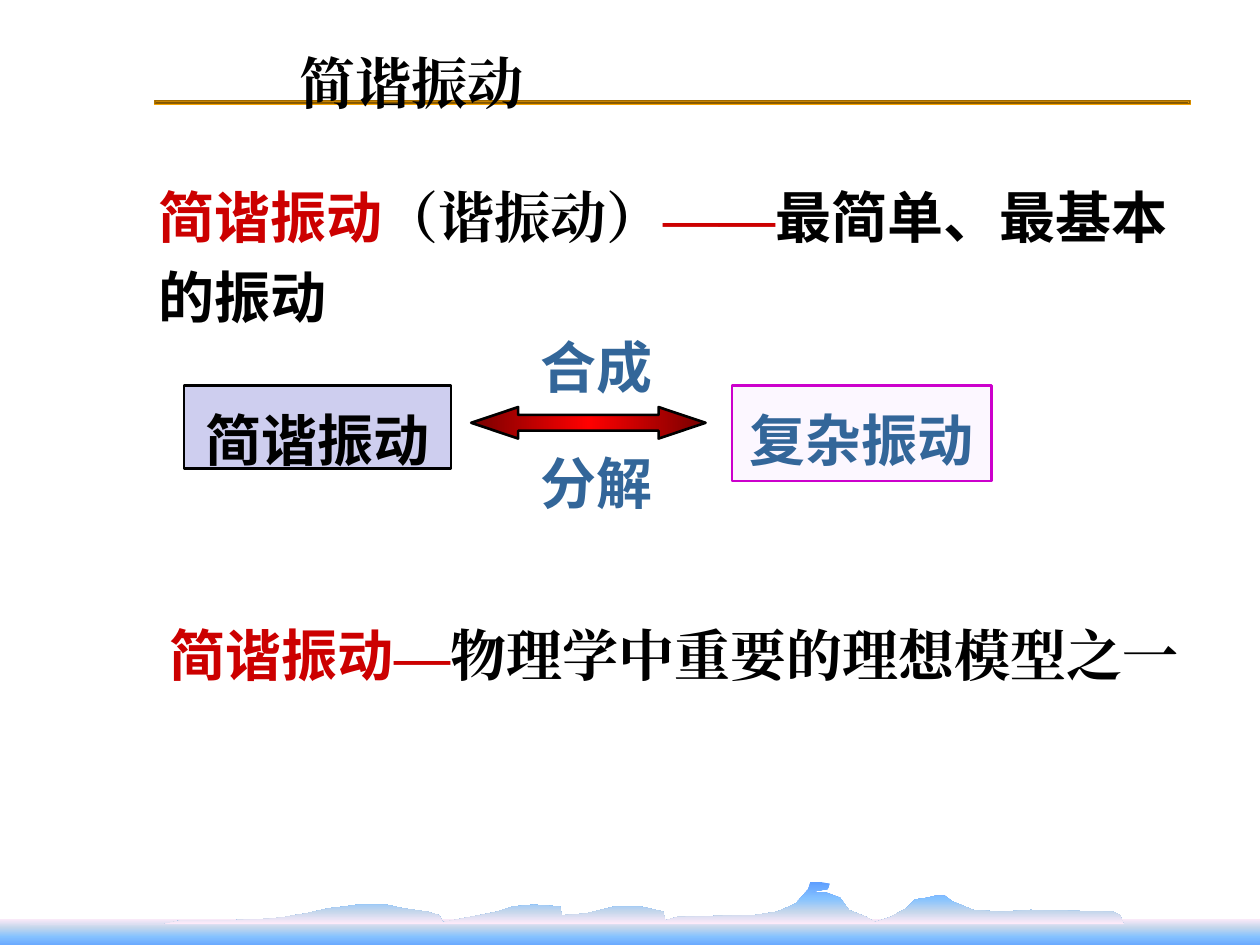
"""Build the slide on simple harmonic vibration."""
import pptx
import pptx.dml.color
import pptx.enum.shapes
import pptx.enum.text
import pptx.oxml
import pptx.oxml.ns
import pptx.util

Pt = pptx.util.Pt
SHAPE = pptx.enum.shapes.MSO_SHAPE
ALIGN = pptx.enum.text.PP_ALIGN

COLORS = {
    "black": "000000", "red": "CC0000", "blue": "336699",
    "lilac": "CECEEF", "blush": "FCF7FF", "magenta": "CC00CC",
    "bronze": "825600", "gold": "FFA800",
    "sky": "5E9EFF", "light": "85C2FF", "haze": "C4D6EB", "pink": "FFEBFA",
    "maroon": "760000", "bright": "FF0000",
}
SANS, SERIF = "Noto Sans CJK SC", "Times New Roman"

LINEAR = '<a:lin ang="{}" scaled="0"/>'
CENTERED = '<a:path path="rect"><a:fillToRect l="50000" t="50000" r="50000" b="50000"/></a:path>'
DOWN, ACROSS = LINEAR.format(5400000), LINEAR.format(0)

RULE_STOPS = [(0, "bronze"), (13, "gold"), (28, "bronze"), (43, "gold"),
              (58, "bronze"), (72, "gold"), (87, "bronze"), (100, "gold")]
RULE_STOPS[-1] = (100, "gold")
WATER_STOPS = [(0, "pink"), (30, "haze"), (60, "light"), (100, "sky")]
HILL_STOPS = [(100 - place, name) for place, name in reversed(WATER_STOPS)]
ARROW_STOPS = [(0, "maroon"), (50, "bright"), (100, "maroon")]

HILLS = [
    (16.6, 528.5), (93.6, 528.5), (103, 525.6), (128.2, 525.6), (154, 524.9),
    (162.7, 524.2), (168.5, 523.4), (175, 522), (178.6, 521.3), (187.9, 519.1),
    (197.3, 517.7), (203.8, 517), (221, 517), (230.4, 519.1), (244, 520.6),
    (250.6, 522.7), (252.7, 527), (274.3, 522.7), (283.7, 520.6), (293, 518.4),
    (305, 516.6), (319.7, 517.7), (321.1, 523.4), (334.8, 522), (350.6, 518.4),
    (365.8, 518.4), (379.4, 520.6), (380.2, 525.6), (386.6, 524.2), (424.1, 523.4),
    (431.3, 523.4), (444.2, 520.6), (450.7, 518.4), (455, 516.2), (462.2, 507.6),
    (463, 504), (468.7, 503.5), (473.8, 504.7), (473, 508.3), (461.5, 510.5),
    (472.3, 510.5), (480.2, 512.6), (484.6, 519.8), (495.4, 524.2), (500.4, 527),
    (509, 524.2), (517.7, 519.1), (523.4, 514.1), (529.9, 512.6), (533.5, 511.9),
    (540, 511.9), (544.3, 514.8), (555.8, 519.8), (571.7, 521.3), (589, 520.2),
    (635.8, 521.3), (640, 523.4), (641.5, 528.5),
]

TEXTS = [
    ((96.5, 16.6, 278, 49), ALIGN.CENTER, [("简谐振动", SERIF, "black")]),
    ((83.5, 92.9, 617.8, 94.3), ALIGN.LEFT, [
        ("简谐振动", SANS, "red"), ("（谐振动）", SERIF, "black"),
        ("——", SERIF, "red"), ("最简单、最基本的振动", SANS, "black")]),
    ((301.7, 178.6, 97.2, 53.3), ALIGN.LEFT, [("合成", SANS, "blue")]),
    ((301.7, 244.8, 97.2, 53.3), ALIGN.LEFT, [("分解", SANS, "blue")]),
    ((90, 343.4, 598.3, 49.7), ALIGN.LEFT, [
        ("简谐振动", SANS, "red"), ("—", SERIF, "red"),
        ("物理学中重要的理想模型之一", SERIF, "black")]),
]
BOXES = [
    ((105.1, 220.3, 152.6, 47.5), "lilac", "black", [("简谐振动", SANS, "black")]),
    ((418.3, 220.3, 148.3, 54.7), "blush", "magenta", [("复杂振动", SANS, "blue")]),
]


def rgb(name):
    return pptx.dml.color.RGBColor.from_string(COLORS[name])


def outline(shape, name):
    shape.shadow.inherit = False
    if name:
        shape.line.color.rgb = rgb(name)
        shape.line.width = Pt(1.5)
    else:
        shape.line.fill.background()


def fill_gradient(shape, stops, direction):
    shape.fill.background()
    marks = "".join(
        f'<a:gs pos="{place * 1000}"><a:srgbClr val="{COLORS[name]}"/></a:gs>'
        for place, name in stops)
    gradient = pptx.oxml.parse_xml(
        f'<a:gradFill {pptx.oxml.ns.nsdecls("a")} rotWithShape="1">'
        f'<a:gsLst>{marks}</a:gsLst>{direction}</a:gradFill>')
    properties = shape.element.spPr
    properties.replace(properties.find(pptx.oxml.ns.qn("a:noFill")), gradient)


def write(shape, align, spans):
    frame = shape.text_frame
    frame.word_wrap = True
    frame.vertical_anchor = pptx.enum.text.MSO_ANCHOR.TOP
    para = frame.paragraphs[0]
    para.alignment = align
    para.line_spacing = 1.2
    for text, face, color in spans:
        span = para.add_run()
        span.text = text
        span.font.size = Pt(32)
        span.font.bold = True
        span.font.color.rgb = rgb(color)
        span.font.name = face
        east = pptx.oxml.parse_xml(
            f'<a:ea {pptx.oxml.ns.nsdecls("a")} typeface="{face}"/>')
        span.font._element.append(east)


def add_shape(page, kind, place, line=None):
    shape = page.shapes.add_shape(kind, *map(Pt, place))
    outline(shape, line)
    return shape


def main():
    deck = pptx.Presentation()
    deck.slide_width, deck.slide_height = Pt(720), Pt(540)
    page = deck.slides.add_slide(deck.slide_layouts[6])

    rule = add_shape(page, SHAPE.RECTANGLE, (87.8, 56.9, 592.6, 2.9))
    fill_gradient(rule, RULE_STOPS, CENTERED)
    water = add_shape(page, SHAPE.RECTANGLE, (0, 524.9, 720, 17.3))
    fill_gradient(water, WATER_STOPS, DOWN)

    builder = page.shapes.build_freeform(*HILLS[0], scale=Pt(1))
    builder.add_line_segments(HILLS[1:], close=True)
    hills = builder.convert_to_shape()
    outline(hills, None)
    fill_gradient(hills, HILL_STOPS, DOWN)

    for place, fill, line, spans in BOXES:
        box = add_shape(page, SHAPE.RECTANGLE, place, line)
        box.fill.solid()
        box.fill.fore_color.rgb = rgb(fill)
        write(box, ALIGN.CENTER, spans)

    for place, align, spans in TEXTS:
        write(page.shapes.add_textbox(*map(Pt, place)), align, spans)

    arrow = add_shape(page, SHAPE.LEFT_RIGHT_ARROW, (269.3, 232.6, 133.9, 18), "black")
    arrow.adjustments[0], arrow.adjustments[1] = 0.5, 1.49
    fill_gradient(arrow, ARROW_STOPS, ACROSS)

    deck.save("out.pptx")


if __name__ == "__main__":
    main()
